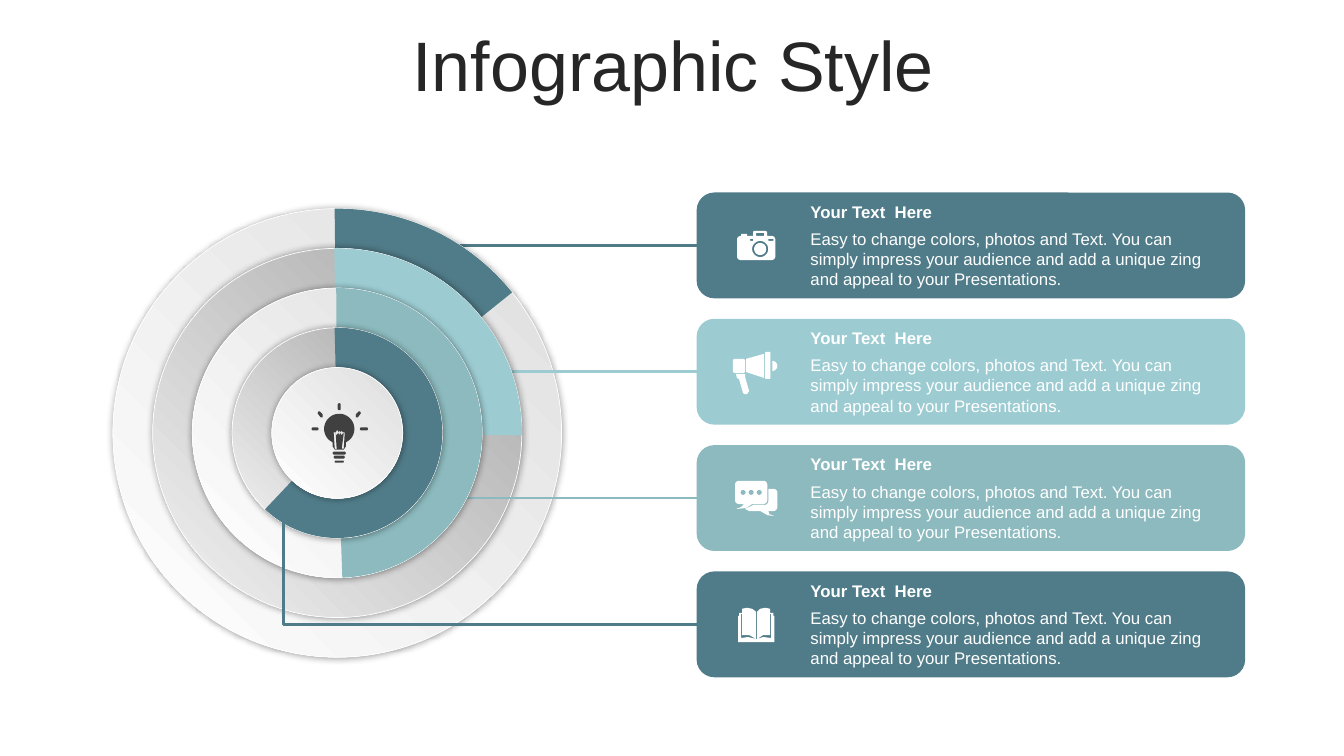
import math
from pptx import Presentation, util as u
from pptx.dml.color import RGBColor
from pptx.enum import shapes, text
from pptx.oxml import parse_xml
from pptx.oxml.ns import nsdecls

TEAL = RGBColor(0x50, 0x7C, 0x89)
AQUA = RGBColor(0x9C, 0xCC, 0xD2)
SAGE = RGBColor(0x8C, 0xBA, 0xBE)
WHITE = RGBColor(0xFF, 0xFF, 0xFF)
INK = RGBColor(0x26, 0x26, 0x26)
CHARCOAL = RGBColor(0x40, 0x40, 0x40)
LIGHT = RGBColor(0xDE, 0xDE, 0xDE), WHITE
DARK = RGBColor(0xA6, 0xA6, 0xA6), RGBColor(0xF2, 0xF2, 0xF2)
GRID = u.Inches(0.1)
SHAPE = shapes.MSO_SHAPE


def arc(cx, cy, r, start=0, end=360, steps=12):
    angles = [math.radians(start + (end - start) * i / steps) for i in range(steps + 1)]
    return [(cx + r * math.cos(a), cy + r * math.sin(a)) for a in angles]


def disc(cx, cy, r):
    return arc(cx, cy, r, steps=36)


def block(x, y, w, h, r=0):
    if not r:
        return [(x, y), (x + w, y), (x + w, y + h), (x, y + h)]
    return (arc(x + r, y + r, r, 180, 270) + arc(x + w - r, y + r, r, 270, 360)
            + arc(x + w - r, y + h - r, r, 0, 90) + arc(x + r, y + h - r, r, 90, 180))


class Deck:
    font = "Arial"

    def __init__(self):
        self.prs = Presentation()
        self.prs.slide_width, self.prs.slide_height = u.Inches(13.33), u.Inches(7.5)
        self.s = self.prs.slides.add_slide(self.prs.slide_layouts[6])

    def g(self, *cells):
        return [round(c * GRID) for c in cells]

    def shape(self, kind, x, y, w, h, fill=None):
        sp = self.s.shapes.add_shape(kind, *self.g(x, y, w, h))
        sp.shadow.inherit = False
        sp.line.fill.background()
        if fill is not None:
            sp.fill.solid()
            sp.fill.fore_color.rgb = fill
        return sp

    def disk(self, cx, cy, d, shades):
        sp = self.shape(SHAPE.OVAL, cx - d / 2, cy - d / 2, d, d)
        sp.fill.gradient()
        sp.fill.gradient_angle = 225
        for stop, color, at in zip(sp.fill.gradient_stops, shades, (0, 1)):
            stop.color.rgb, stop.position = color, at
        sp.line.color.rgb, sp.line.width = WHITE, u.Pt(0.5)
        sp._element.spPr.xpath("a:effectLst")[0].append(parse_xml(
            f'<a:outerShdw {nsdecls("a")} blurRad="{u.Pt(5)}" dist="0" dir="0" algn="ctr" '
            'rotWithShape="0"><a:srgbClr val="000000"><a:alpha val="40000"/></a:srgbClr></a:outerShdw>'))
        return sp

    def ring(self, cx, cy, d, shades, fill, start, end):
        disk = self.disk(cx, cy, d, shades)
        pie = self.shape(SHAPE.PIE, cx - d / 2, cy - d / 2, d, d, fill)
        pie.adjustments[0], pie.adjustments[1] = start * 0.6, end * 0.6
        self.group(disk, pie)

    def line(self, x1, y1, x2, y2, color, card=None, bend=None):
        kind = shapes.MSO_CONNECTOR.STRAIGHT if bend is None else shapes.MSO_CONNECTOR.ELBOW
        cx = self.s.shapes.add_connector(kind, *self.g(x1, y1, x2, y2))
        cx.line.color.rgb, cx.line.width = color, u.Pt(2)
        cx._element.spPr.append(parse_xml(f'<a:effectLst {nsdecls("a")}/>'))
        if card is not None:
            cx.end_connect(card, 1)
        if bend is not None:
            cx._element.spPr.xpath(".//a:avLst")[0].append(parse_xml(
                f'<a:gd {nsdecls("a")} name="adj1" fmla="val {round(bend * 100000)}"/>'))

    def text(self, content, x, y, w, h, size=12, color=WHITE, bold=False, align=None,
             anchor=text.MSO_ANCHOR.TOP, spacing=None, grow=True):
        sp = self.s.shapes.add_textbox(*self.g(x, y, w, h))
        tf = sp.text_frame
        tf.word_wrap = True
        tf.vertical_anchor = anchor
        tf.auto_size = text.MSO_AUTO_SIZE.SHAPE_TO_FIT_TEXT if grow else text.MSO_AUTO_SIZE.NONE
        p = tf.paragraphs[0]
        p.alignment, p.line_spacing = align, spacing
        r = p.add_run()
        r.text = content
        r.font.name, r.font.size, r.font.bold = self.font, u.Pt(size), bold
        r.font.color.rgb = color
        return sp

    def icon(self, x, y, contours, color=WHITE):
        fb = None
        for contour in contours:
            pts = [(px * 10, py * 10) for px, py in contour]
            if fb is None:
                fb = self.s.shapes.build_freeform(*pts[0], scale=GRID / 100)
            else:
                fb.move_to(*pts[0])
            fb.add_line_segments(pts[1:], close=True)
        sp = fb.convert_to_shape(*self.g(x, y))
        sp.shadow.inherit = False
        sp.fill.solid()
        sp.fill.fore_color.rgb = color
        sp.line.fill.background()

    def group(self, *members):
        self.s.shapes.add_group_shape(members)


CAMERA = [
    [(0, 8), (1, 6), (3, 5), (4, 5), (4, 3), (10, 3), (10, 5), (16, 5), (16, 1), (17, 0), (28, 0),
     (30, 1), (30, 5), (35, 5), (37, 6), (38, 8), (38, 26), (37, 28), (35, 29), (3, 29), (1, 28), (0, 26)],
    block(19, 2, 8, 3), block(13, 8, 3, 2), block(31, 8, 5, 2), disc(23, 18, 8), disc(23, 18, 6)]
MEGAPHONE = [
    [(12, 22), (12, 25), (16, 39), (14, 42), (12, 42), (10, 41), (6, 27), (4, 26), (3, 22)],
    arc(39, 14, 5, -90, 90), block(0, 7, 12, 14, 2), [(31, 2), (31, 26), (13, 20), (13, 7)],
    block(32, 0, 5, 27, 1)]
CHAT = [
    arc(4, 4, 4, 180, 270) + arc(28, 4, 4, 270, 360) + arc(28, 19, 4, 0, 90)
    + [(17, 23), (11, 27), (1, 28), (6, 26), (9, 23)] + arc(4, 19, 4, 90, 180),
    [(33, 8)] + arc(38, 12, 4, 270, 360) + arc(38, 26, 4, 0, 90)
    + [(33, 30), (34, 33), (39, 35), (32, 34), (25, 30), (14, 30), (10, 28), (18, 24)]
    + arc(29, 20, 4, 90, 0),
    *[disc(x, 11.5, 2.5) for x in (8, 16, 24)]]
BOOK = [[
    (18, 31), (19, 31), (25, 29), (33, 30), (33, 6), (32, 6), (32, 27), (25, 27), (19, 31), (19, 4),
    (22, 1), (27, 0), (32, 1), (32, 5), (35, 5), (35, 8), (36, 8), (36, 34), (0, 34), (0, 8), (1, 8),
    (1, 5), (4, 5), (4, 1), (9, 0), (14, 1), (18, 4), (18, 31), (11, 27), (4, 27), (4, 6), (3, 6),
    (3, 30), (10, 29)]]
BULB = [
    arc(29.5, 25.5, 15, 135, 405, 36)
    + [(36, 39), (36, 43), (34, 46), (25, 46), (23, 43), (23, 39)],
    [(27, 27), (26, 29), (24, 29), (25, 45), (27, 46), (26, 30), (27, 32), (28, 30), (29, 30), (30, 32),
     (30, 30), (31, 30), (32, 32), (33, 30), (34, 30), (32, 45), (34, 45), (35, 29), (33, 29), (32, 27),
     (31, 29), (30, 27), (29, 29), (28, 27)],
    block(25, 57, 9, 2, 1), block(24, 52, 11, 3, 1.5), block(23, 48, 13, 3, 1.5),
    block(28, 0, 3, 7, 1.5), block(2, 24, 7, 3, 1.5), block(50, 24, 8, 3, 1.5),
    [(49, 8), (50, 8), (51, 10), (48, 14), (46, 14), (46, 11)],
    [(9, 8), (10, 8), (13, 11), (13, 14), (11, 14), (8, 10)]]
BODY = ("Easy to change colors, photos and Text. You can simply impress your audience "
        "and add a unique zing and appeal to your Presentations.")
COLORS = TEAL, AQUA, SAGE, TEAL
RINGS = [(LIGHT, 269.33, 321.2), (DARK, 269.1, 0.77), (LIGHT, 269.61, 87.97), (DARK, 268.59, 133.32)]
LINE_STARTS = 43.4, 45.3, 45.3
ICONS = [(73.1, 22.9, CAMERA), (72.7, 34.9, MEGAPHONE), (72.9, 47.7, CHAT), (73.2, 60.3, BOOK)]
CX, CY, OUTER, RING_STEP = 33.45, 42.95, 44.5, 7.88
CARD_X, CARD_Y, CARD_W, CARD_H, CARD_STEP = 69.1, 19.1, 54.4, 10.5, 12.53


def main():
    d = Deck()
    d.text("Infographic Style", 3.5, 3.1, 126.6, 7.9, size=50, color=INK, spacing=0.8, grow=False,
           align=text.PP_ALIGN.CENTER, anchor=text.MSO_ANCHOR.MIDDLE)
    tops = [CARD_Y + i * CARD_STEP for i in range(4)]
    cards = [d.shape(SHAPE.ROUNDED_RECTANGLE, CARD_X, y, CARD_W, CARD_H, c) for y, c in zip(tops, COLORS)]
    for i, (shades, start, end) in enumerate(RINGS):
        if i < len(LINE_STARTS):
            mid = tops[i] + CARD_H / 2
            d.line(LINE_STARTS[i], mid, CARD_X, mid, COLORS[i], card=cards[i])
        d.ring(CX, CY, OUTER - i * RING_STEP, shades, COLORS[i], start, end)
    d.disk(CX, CY, OUTER - 4 * RING_STEP, LIGHT)
    d.line(CARD_X, tops[3] + CARD_H / 2, 27.7, 51.5, TEAL, bend=0.99)
    for y in tops:
        d.group(d.text("Your Text  Here", 79.4, y + 0.4, 41.9, 3, bold=True),
                d.text(BODY, 79.4, y + 3.1, 41.9, 7.1))
    for x, y, contours in ICONS:
        d.icon(x, y, contours)
    d.icon(30.7, 40, BULB, CHARCOAL)
    d.prs.save("out.pptx")


if __name__ == "__main__":
    main()
